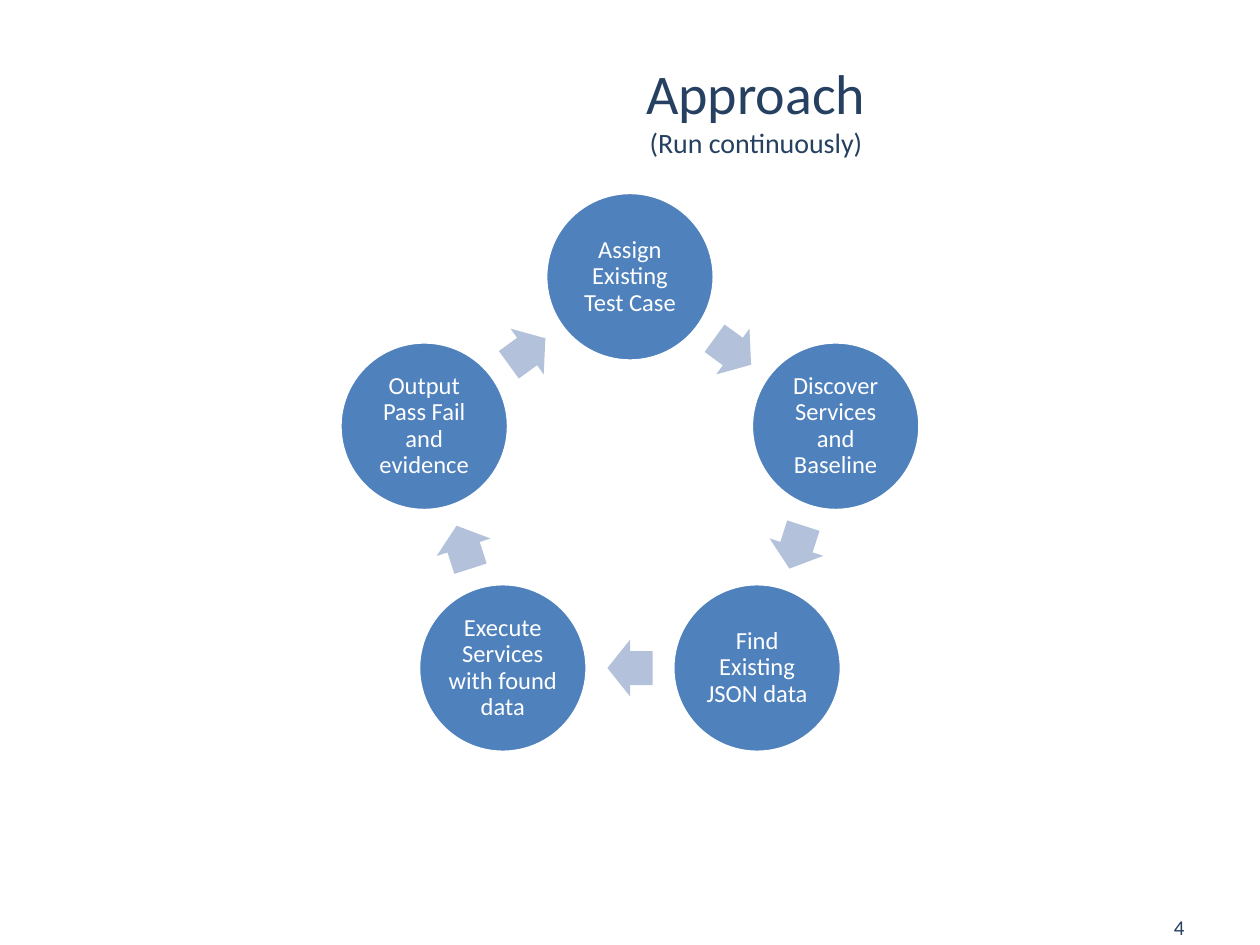
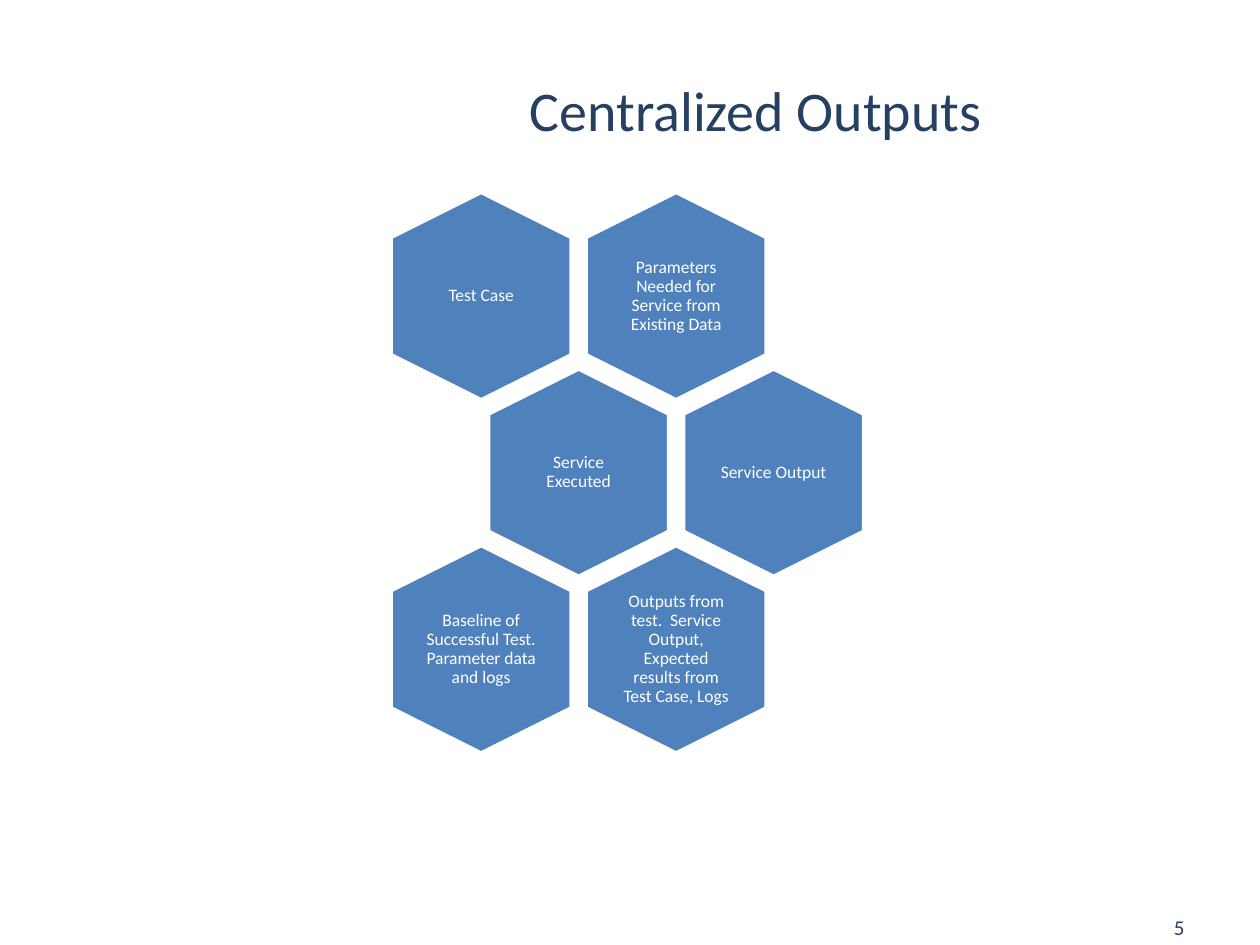
import math
from dataclasses import dataclass

import pptx
import pptx.dml.color
import pptx.enum.shapes
import pptx.enum.text
import pptx.presentation
import pptx.shapes.autoshape
import pptx.slide
import pptx.util

Cm = pptx.util.Cm
Pt = pptx.util.Pt
RGBColor = pptx.dml.color.RGBColor
Shape = pptx.enum.shapes.MSO_SHAPE
Align = pptx.enum.text.PP_ALIGN

NAVY = RGBColor(0x25, 0x40, 0x61)
BLUE = RGBColor(0x4F, 0x81, 0xBD)
PALE_BLUE = RGBColor(0xB3, 0xC1, 0xDB)
WHITE = RGBColor(0xFF, 0xFF, 0xFF)
FONT = "Calibri"


@dataclass(frozen=True)
class Area:
    left: float
    top: float
    width: float
    height: float

    def lengths(self) -> tuple[pptx.util.Length, ...]:
        return Cm(self.left), Cm(self.top), Cm(self.width), Cm(self.height)


@dataclass(frozen=True)
class Node:
    text: str
    x: float
    y: float

    def area(self, width: float, height: float) -> Area:
        return Area(self.x - width / 2, self.y - height / 2, width, height)


TITLE_AREA = Area(6.12, 0.61, 18.24, 3.18)
NUMBER_AREA = Area(18.21, 18.34, 5.92, 0.69)

CYCLE_X, CYCLE_Y, CYCLE_RADIUS = 12.7, 9.94, 4.36
CYCLE_STEPS = [
    "Assign Existing Test Case",
    "Discover Services and Baseline",
    "Find Existing JSON data",
    "Execute Services with found data",
    "Output Pass Fail and evidence",
]

COMB_LEFT, COMB_TOP = 9.7, 5.97
COLUMN_PITCH, ROW_PITCH = 3.93, 3.56
COMB_ROWS = [
    ["Test Case", "Parameters Needed for Service from Existing Data"],
    ["Service Executed", "Service Output"],
    [
        "Baseline of Successful Test. Parameter data and logs",
        "Outputs from test.  Service Output, Expected results from Test Case, Logs",
    ],
]


def add_text(
    page: pptx.slide.Slide,
    area: Area,
    text: str,
    *,
    size: float,
    color: RGBColor = NAVY,
    align: Align = Align.CENTER,
    spacing: float = 1.0,
    inset: float | None = None,
    subtitle: str = "",
    subtitle_size: float = 16,
) -> None:
    frame = page.shapes.add_textbox(*area.lengths()).text_frame
    frame.word_wrap = True
    frame.vertical_anchor = pptx.enum.text.MSO_ANCHOR.MIDDLE
    if inset is not None:
        frame.margin_left = frame.margin_right = Cm(inset)
        frame.margin_top = frame.margin_bottom = Cm(inset)
    para = frame.paragraphs[0]
    para.alignment = align
    para.line_spacing = spacing
    lines = [(text, size)]
    if subtitle:
        lines.append((subtitle, subtitle_size))
    for index, (line, line_size) in enumerate(lines):
        if index:
            para.add_line_break()
        span = para.add_run()
        span.text = line
        span.font.name = FONT
        span.font.size = Pt(line_size)
        span.font.color.rgb = color


def add_block(
    page: pptx.slide.Slide,
    kind: Shape,
    area: Area,
    *,
    fill: RGBColor = BLUE,
    outlined: bool = True,
    rotation: float = 0,
) -> pptx.shapes.autoshape.Shape:
    block = page.shapes.add_shape(kind, *area.lengths())
    block.shadow.inherit = False
    block.rotation = rotation
    block.fill.solid()
    block.fill.fore_color.rgb = fill
    if outlined:
        block.line.color.rgb = WHITE
        block.line.width = Pt(2)
    else:
        block.line.fill.background()
    return block


def add_page(
    deck: pptx.presentation.Presentation, title: str, number: int, subtitle: str = ""
) -> pptx.slide.Slide:
    page = deck.slides.add_slide(deck.slide_layouts[6])
    add_text(page, TITLE_AREA, title, size=32, subtitle=subtitle)
    add_text(page, NUMBER_AREA, str(number), size=12, align=Align.RIGHT)
    return page


def draw_cycle(page: pptx.slide.Slide) -> None:
    turn = 360 / len(CYCLE_STEPS)
    nodes = []
    for index, step in enumerate(CYCLE_STEPS):
        angle = math.radians(index * turn)
        x = CYCLE_X + CYCLE_RADIUS * math.sin(angle)
        y = CYCLE_Y - CYCLE_RADIUS * math.cos(angle)
        nodes.append(Node(step, x, y))
    for index, node in enumerate(nodes):
        add_block(page, Shape.OVAL, node.area(3.4, 3.4))
        add_text(page, node.area(2.41, 2.41), node.text,
                 size=14, color=WHITE, spacing=0.9, inset=0.05)
        following = nodes[(index + 1) % len(nodes)]
        middle = Node("", (node.x + following.x) / 2, (node.y + following.y) / 2)
        arrow = add_block(page, Shape.RIGHT_ARROW, middle.area(0.91, 1.14),
                          fill=PALE_BLUE, outlined=False, rotation=(index + 0.5) * turn)
        arrow.adjustments[0] = 0.6
        arrow.adjustments[1] = 0.5


def draw_honeycomb(page: pptx.slide.Slide) -> None:
    for row, texts in enumerate(COMB_ROWS):
        for column, text in enumerate(texts):
            x = COMB_LEFT + (column + row % 2 / 2) * COLUMN_PITCH
            node = Node(text, x, COMB_TOP + row * ROW_PITCH)
            add_block(page, Shape.HEXAGON, node.area(4.18, 3.63), rotation=90)
            add_text(page, node.area(2.51, 2.87), text,
                     size=10, color=WHITE, spacing=0.9, inset=0.1)


def main() -> None:
    deck = pptx.Presentation()
    deck.slide_width = Cm(25.4)
    deck.slide_height = Cm(19.05)
    draw_cycle(add_page(deck, "Approach", 4, subtitle="(Run continuously)"))
    draw_honeycomb(add_page(deck, "Centralized Outputs", 5))
    deck.save("out.pptx")


main()
